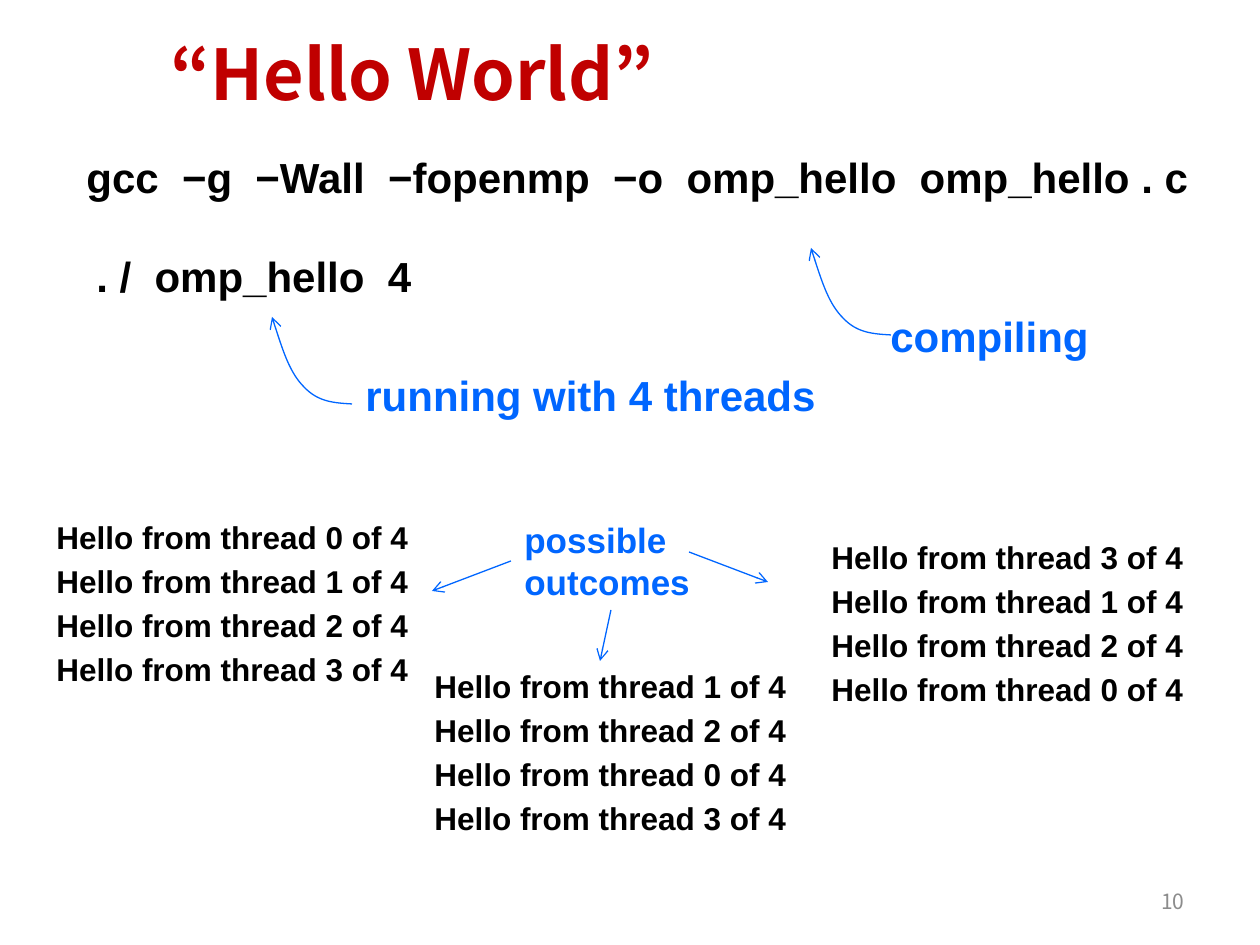
from pptx import Presentation
from pptx.dml.color import RGBColor
from pptx.enum.shapes import MSO_CONNECTOR
from pptx.enum.text import MSO_ANCHOR, PP_ALIGN
from pptx.oxml.ns import qn
from pptx.util import Pt
from lxml.etree import SubElement

PX = 914400 // 126
BLACK = RGBColor(0x00, 0x00, 0x00)
BLUE = RGBColor(0x00, 0x66, 0xFF)
RED = RGBColor(0xC0, 0x00, 0x00)
GRAY = RGBColor(0x8C, 0x8C, 0x8C)
ARIAL = "Arial"
NOTO = "Noto Sans CJK KR"

deck = Presentation()
deck.slide_width, deck.slide_height = 1260 * PX, 945 * PX
page = deck.slides.add_slide(deck.slide_layouts[6])


def add_text(place, lines, size, color, font=ARIAL, bold=True):
    box = page.shapes.add_textbox(*[value * PX for value in place])
    frame = box.text_frame
    frame.word_wrap = True
    for index, line in enumerate(lines):
        para = frame.paragraphs[0] if index == 0 else frame.add_paragraph()
        before = SubElement(para._p.get_or_add_pPr(), qn("a:spcBef"))
        SubElement(before, qn("a:spcPct")).set("val", "20000")
        for part, words in enumerate(line.split("\n")):
            if part:
                para.add_line_break()
            span = para.add_run()
            span.text = words
            span.font.name = font
            span.font.size = Pt(size)
            span.font.bold = bold
            span.font.color.rgb = color
    return frame


def style_arrow(arrow):
    arrow.line.color.rgb = BLUE
    arrow.line.width = Pt(0.75)
    SubElement(arrow.line._get_or_add_ln(), qn("a:tailEnd")).set("type", "arrow")
    SubElement(arrow._element.spPr, qn("a:effectLst"))


title = add_text((158, 0, 1079, 144), ["“Hello World”"], 40, RED, NOTO)
title.vertical_anchor = MSO_ANCHOR.MIDDLE
number = add_text((903, 876, 294, 50), ["10"], 12, GRAY, NOTO, False)
number.vertical_anchor = MSO_ANCHOR.MIDDLE
number.paragraphs[0].alignment = PP_ALIGN.RIGHT

for place, words, color in [
    ((74, 145, 1205, 64), "gcc  −g  −Wall  −fopenmp  −o  omp_hello  omp_hello . c", BLACK),
    ((84, 244, 368, 64), ". /  omp_hello  4", BLACK),
    ((878, 304, 231, 64), "compiling", BLUE),
    ((353, 363, 498, 64), "running with 4 threads", BLUE),
]:
    add_text(place, [words], 24, color)

for place, order in [
    ((44, 512, 480, 188), (0, 1, 2, 3)),
    ((422, 661, 444, 188), (1, 2, 0, 3)),
    ((819, 532, 410, 188), (3, 1, 2, 0)),
]:
    add_text(place, [f"Hello from thread {thread} of 4" for thread in order], 18, BLACK)
add_text((512, 512, 200, 97), ["possible\noutcomes"], 20, BLUE)

for ends in [(511, 561, 432, 591), (689, 552, 768, 582), (611, 610, 600, 661)]:
    arrow = page.shapes.add_connector(MSO_CONNECTOR.STRAIGHT, *[value * PX for value in ends])
    style_arrow(arrow)

CURVE = [(0, 0), (-18, -1), (-34, -2), (-48, -17), (-62, -31), (-71, -59), (-80, -87)]
for left, top in [(352, 404), (891, 335)]:
    points = [(left + x, top + y) for x, y in CURVE]
    builder = page.shapes.build_freeform(*points[0], scale=PX)
    builder.add_line_segments(points[1:], close=False)
    curve = builder.convert_to_shape()
    outline = curve._element.find(".//" + qn("a:path"))
    segments = outline.findall(qn("a:lnTo"))
    for start in range(0, len(segments), 3):
        bend = SubElement(outline, qn("a:cubicBezTo"))
        for segment in segments[start:start + 3]:
            bend.append(segment[0])
            outline.remove(segment)
    curve.fill.background()
    style_arrow(curve)

deck.save("out.pptx")
